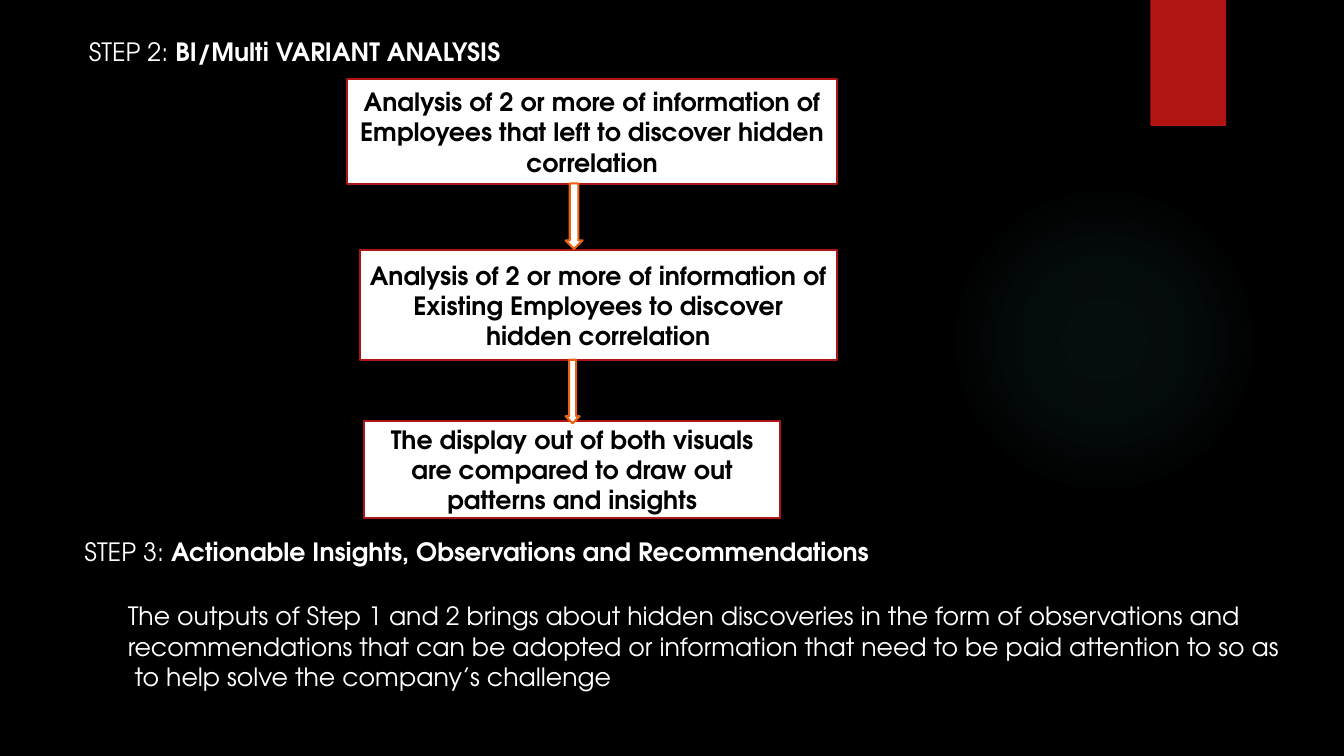
"""Build the analysis steps slide with its three-box flow."""
import pptx
import pptx.dml.color
import pptx.enum.shapes
import pptx.enum.text
import pptx.oxml
import pptx.oxml.ns
import pptx.util

Pt = pptx.util.Pt
RGBColor = pptx.dml.color.RGBColor
MSO_SHAPE = pptx.enum.shapes.MSO_SHAPE
PP_ALIGN = pptx.enum.text.PP_ALIGN
MSO_ANCHOR = pptx.enum.text.MSO_ANCHOR
MSO_AUTO_SIZE = pptx.enum.text.MSO_AUTO_SIZE

BLACK = RGBColor(0x00, 0x00, 0x00)
WHITE = RGBColor(0xFF, 0xFF, 0xFF)
RED = RGBColor(0xB0, 0x15, 0x13)
ORANGE = RGBColor(0xEA, 0x63, 0x12)
TEAL = RGBColor(0x50, 0xB9, 0xC1)


class Deck:
    """Hold the text style and the current slide."""

    def __init__(self, slide, font="TeX Gyre Adventor", size=18):
        self.slide, self.font, self.size = slide, font, size

    def background(self, color):
        fill = self.slide.background.fill
        fill.solid()
        fill.fore_color.rgb = color

    def add_runs(self, tf, paragraphs, color, align=PP_ALIGN.LEFT):
        for i, runs in enumerate(paragraphs):
            p = tf.add_paragraph() if i else tf.paragraphs[0]
            p.alignment = align
            for text, bold in runs:
                r = p.add_run()
                r.text = text
                r.font.name, r.font.size = self.font, Pt(self.size)
                r.font.bold, r.font.color.rgb = bold, color

    def title(self, x, y, w, h, runs):
        sp = self.slide.shapes.title
        sp.left, sp.top, sp.width, sp.height = map(Pt, (x, y, w, h))
        tf = sp.text_frame
        tf.auto_size, tf.vertical_anchor = MSO_AUTO_SIZE.NONE, MSO_ANCHOR.TOP
        self.add_runs(tf, [runs], WHITE)

    def text(self, x, y, w, h, paragraphs):
        sp = self.slide.shapes.add_textbox(*map(Pt, (x, y, w, h)))
        sp.text_frame.word_wrap = False
        self.add_runs(sp.text_frame, paragraphs, WHITE)

    def shape(self, kind, x, y, w, h, fill, line=None):
        sp = self.slide.shapes.add_shape(kind, *map(Pt, (x, y, w, h)))
        sp.shadow.inherit = False
        sp.fill.solid()
        sp.fill.fore_color.rgb = fill
        if line is None:
            sp.line.fill.background()
        else:
            sp.line.color.rgb, sp.line.width = line, Pt(1.5)
        return sp

    def box(self, x, y, w, h, text):
        tf = self.shape(MSO_SHAPE.RECTANGLE, x, y, w, h, WHITE, RED).text_frame
        tf.word_wrap, tf.vertical_anchor = True, MSO_ANCHOR.MIDDLE
        self.add_runs(tf, [[(text, True)]], BLACK, PP_ALIGN.CENTER)

    def arrow(self, x, y, w, h):
        self.shape(MSO_SHAPE.DOWN_ARROW, x, y, w, h, WHITE, ORANGE)

    def glow(self, x, y, size, color, stops):
        sp = self.shape(MSO_SHAPE.OVAL, x, y, size, size, color)
        gs = "".join(
            f'<a:gs pos="{pos * 1000}"><a:srgbClr val="{color}">'
            f'<a:alpha val="{alpha * 1000}"/></a:srgbClr></a:gs>'
            for pos, alpha in stops)
        grad = pptx.oxml.parse_xml(
            f'<a:gradFill {pptx.oxml.ns.nsdecls("a")} rotWithShape="1">'
            f'<a:gsLst>{gs}</a:gsLst><a:path path="circle">'
            '<a:fillToRect l="50000" t="50000" r="50000" b="50000"/>'
            '</a:path></a:gradFill>')
        solid = sp.element.spPr.find(pptx.oxml.ns.qn("a:solidFill"))
        solid.getparent().replace(solid, grad)


def main():
    prs = pptx.Presentation()
    prs.slide_width, prs.slide_height = Pt(960), Pt(540)
    deck = Deck(prs.slides.add_slide(prs.slide_layouts[5]))
    deck.background(BLACK)
    deck.glow(677.5, 131.8, 221.8, TEAL, [(0, 7), (36, 6), (69, 0)])
    deck.shape(MSO_SHAPE.RECTANGLE, 821.8, 0, 54, 90, RED)
    deck.title(56.2, 22.2, 700, 29,
               [("STEP 2: ", False), ("BI/Multi VARIANT ANALYSIS", True)])

    deck.box(248.2, 56.7, 349.4, 75,
             "Analysis of 2 or more of information of Employees that left "
             "to discover hidden correlation")
    deck.box(257, 178.8, 340.6, 78.4,
             "Analysis of 2 or more of information of Existing Employees "
             "to discover hidden correlation")
    deck.box(260, 300.5, 297.4, 69.3,
             "The display out of both visuals are compared to draw out "
             "patterns and insights")
    deck.arrow(404, 131, 12.2, 46.8)
    deck.arrow(404, 257, 10.1, 45.4)

    deck.text(53.3, 379.4, 580.3, 29, [
        [("STEP 3: ", False),
         ("Actionable Insights, Observations and Recommendations", True)]])
    outcome = [
        "The outputs of Step 1 and 2 brings about hidden discoveries in the "
        "form of observations and",
        "recommendations that can be adopted or information that need to be "
        "paid attention to so as",
        " to help solve the company’s challenge",
    ]
    deck.text(84.2, 425.5, 854, 72.7, [[(line, False)] for line in outcome])
    prs.save("out.pptx")


if __name__ == "__main__":
    main()
